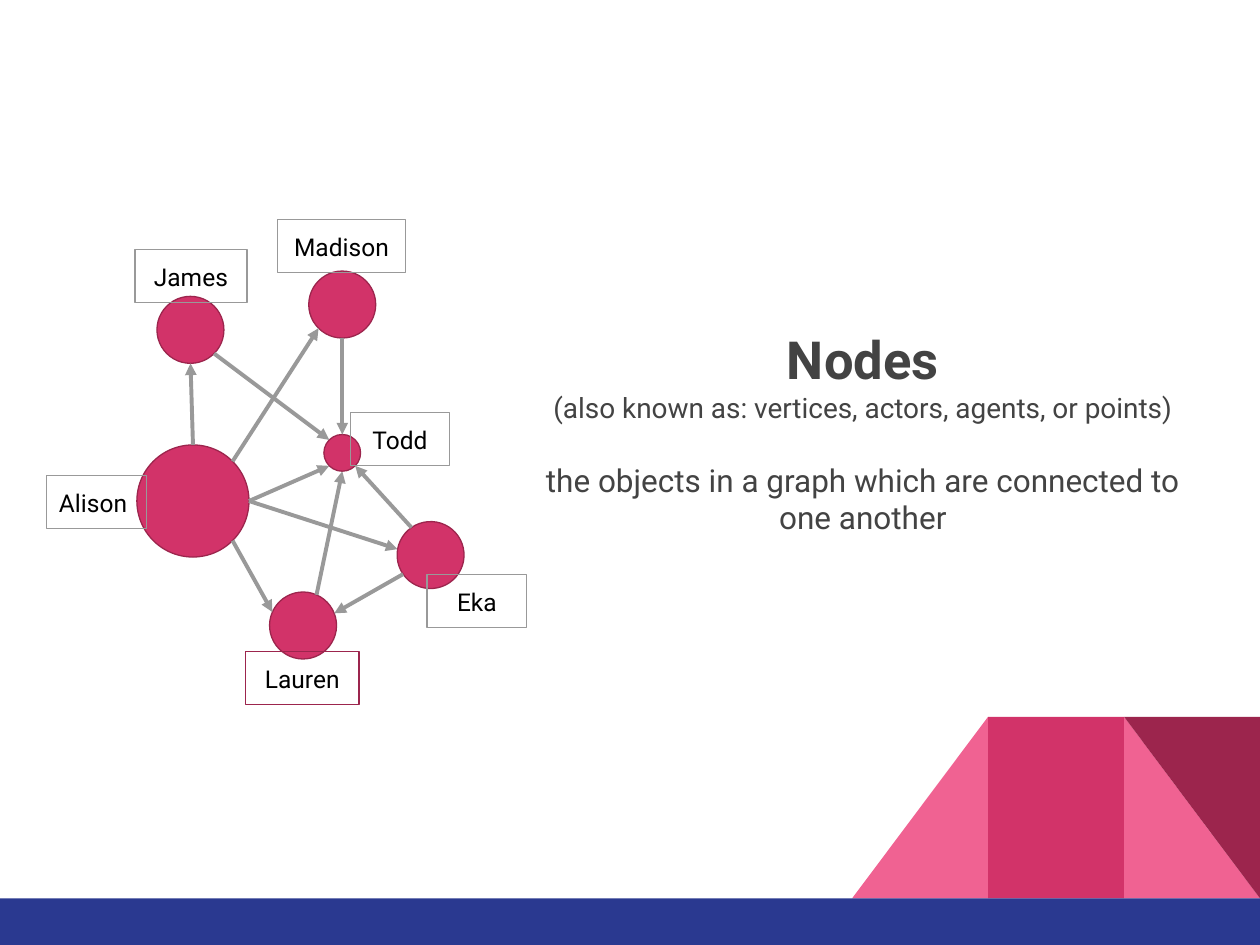
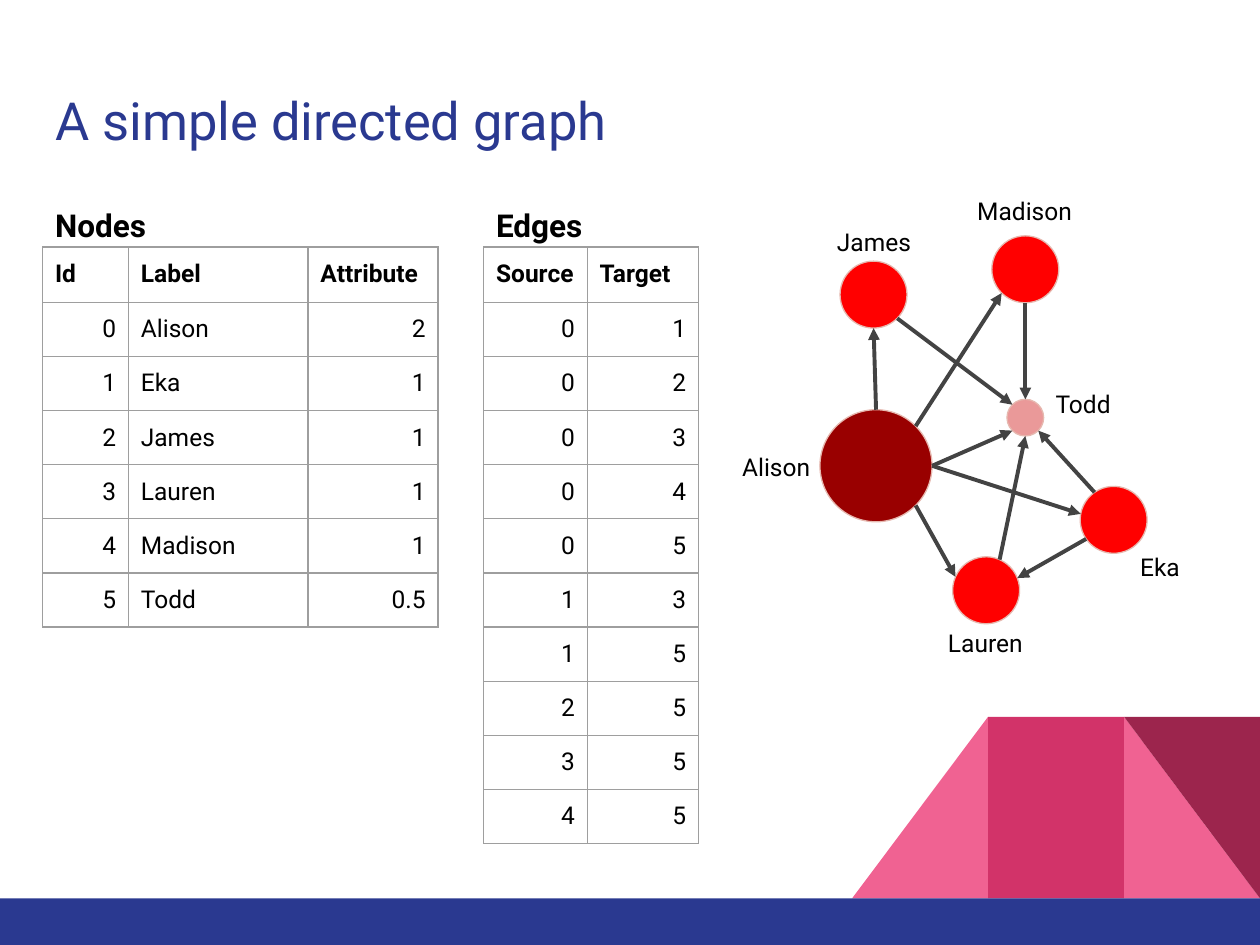
from dataclasses import dataclass
from math import cos, radians, sin

from lxml import etree
from pptx import Presentation
from pptx.dml.color import RGBColor
from pptx.enum.shapes import MSO_CONNECTOR, MSO_SHAPE
from pptx.enum.text import MSO_ANCHOR, PP_ALIGN
from pptx.oxml import parse_xml
from pptx.oxml.ns import nsdecls, qn
from pptx.util import Cm, Pt

RECTANGLE = MSO_SHAPE.RECTANGLE
RIGHT_TRIANGLE = MSO_SHAPE.RIGHT_TRIANGLE
ELLIPSE = MSO_SHAPE.OVAL
STRAIGHT = MSO_CONNECTOR.STRAIGHT
TOP = MSO_ANCHOR.TOP
LEFT, CENTER, RIGHT = PP_ALIGN.LEFT, PP_ALIGN.CENTER, PP_ALIGN.RIGHT


@dataclass(frozen=True)
class Theme:
    font: str = "Roboto"
    blue: str = "2A3990"
    light_pink: str = "F06292"
    pink: str = "D23369"
    wine: str = "9C254D"
    black: str = "000000"
    dark_gray: str = "434343"
    gray: str = "999999"
    grid: str = "9E9E9E"
    red: str = "FF0000"
    deep_red: str = "990000"
    pale_red: str = "EA9999"
    blush: str = "E6B8AF"
    title_size: int = 30
    heading_size: int = 18
    alias_size: int = 16
    label_size: int = 14
    thin: float = 0.75
    arrow: float = 2.25


THEME = Theme()

# Lengths in centimetres
SLIDE_W, SLIDE_H = 25.4, 19.05
INSET = 0.25
BAND_H = 0.94
PANEL_W, PANEL_H = 2.74, 3.66
LABEL_H = 1.07
HEADER_ROW_H, ROW_H = 1.12, 1.09


@dataclass(frozen=True)
class Person:
    name: str
    attribute: str
    center: tuple
    diameter: float
    label: tuple  # left, top, width
    turn: float = 0
    label_align: int = CENTER


# The index of a person is the Id in the node table
PEOPLE = [
    Person("Alison", "2", (3.89, 10.1), 2.26, (0.94, 9.58, 2.01), label_align=LEFT),
    Person("Eka", "1", (8.68, 11.19), 1.35, (8.61, 11.58, 2.01), turn=10.3),
    Person("James", "1", (3.84, 6.65), 1.35, (2.72, 5.03, 2.26)),
    Person("Lauren", "1", (6.11, 12.61), 1.35, (4.95, 13.13, 2.29), turn=23.7),
    Person("Madison", "1", (6.9, 6.14), 1.35, (5.59, 4.42, 2.59)),
    Person("Todd", "0.5", (6.9, 9.13), 0.74, (7.06, 8.31, 2.01)),
]

# Clockwise angle of each point on a circle where an edge can meet it
SITES = {"E": 0, "SE": 45, "S": 90, "SW": 135, "W": 180, "NW": 225, "N": 270, "NE": 315}

# Source, target, site on the source, site on the target
EDGES = [
    (0, 1, "E", "W"),
    (0, 2, "N", "S"),
    (0, 3, "SE", "W"),
    (0, 4, "NE", "SW"),
    (0, 5, "E", "SW"),
    (1, 3, "SW", "NE"),
    (1, 5, "NW", "SE"),
    (2, 5, "SE", "NW"),
    (3, 5, "N", "S"),
    (4, 5, "S", "N"),
]


def rgb(color):
    return RGBColor.from_string(color)


def box(left, top, width, height):
    return Cm(left), Cm(top), Cm(width), Cm(height)


def write(frame, paragraphs):
    """Fill a text frame with (text, size, color, bold, align) paragraphs."""
    frame.word_wrap = True
    frame.vertical_anchor = TOP
    frame.margin_left = frame.margin_right = Cm(INSET)
    frame.margin_top = frame.margin_bottom = Cm(INSET)
    for index, (text, size, color, bold, align) in enumerate(paragraphs):
        paragraph = frame.add_paragraph() if index else frame.paragraphs[0]
        paragraph.alignment = align
        run = paragraph.add_run()
        run.text = text
        run.font.name = THEME.font
        run.font.size = Pt(size)
        run.font.bold = bold
        run.font.color.rgb = rgb(color)


def add_text(slide, bounds, *paragraphs):
    text_box = slide.shapes.add_textbox(*box(*bounds))
    write(text_box.text_frame, paragraphs)
    return text_box


def add_shape(slide, kind, bounds, fill=None, line=None):
    shape = slide.shapes.add_shape(kind, *box(*bounds))
    shape.shadow.inherit = False
    if fill:
        shape.fill.solid()
        shape.fill.fore_color.rgb = rgb(fill)
    else:
        shape.fill.background()
    if line:
        shape.line.color.rgb = rgb(line)
        shape.line.width = Pt(THEME.thin)
    else:
        shape.line.fill.background()
    return shape


def add_arrow(slide, start, end, color):
    arrow = slide.shapes.add_connector(STRAIGHT, *(Cm(v) for v in (*start, *end)))
    arrow.line.color.rgb = rgb(color)
    arrow.line.width = Pt(THEME.arrow)
    etree.SubElement(arrow.line._get_or_add_ln(), qn("a:tailEnd"), type="triangle")
    etree.SubElement(arrow._element.spPr, qn("a:effectLst"))


def add_decoration(slide):
    """Bottom band with the folded panels standing on it at the right."""
    band_top = SLIDE_H - BAND_H

    def panel(kind, place_from_right, fill):
        left = SLIDE_W - place_from_right * PANEL_W
        bounds = (left, band_top - PANEL_H, PANEL_W, PANEL_H)
        return add_shape(slide, kind, bounds, fill)

    panel(RIGHT_TRIANGLE, 1, THEME.light_pink)
    rising = panel(RIGHT_TRIANGLE, 3, THEME.light_pink)
    rising._element.spPr.xfrm.set("flipH", "1")
    panel(RECTANGLE, 2, THEME.pink)
    panel(RIGHT_TRIANGLE, 1, THEME.wine).rotation = 180
    add_shape(slide, RECTANGLE, (0, band_top, SLIDE_W, BAND_H), THEME.blue)


def site_point(person, site, offset):
    angle = radians(SITES[site] + person.turn)
    radius = person.diameter / 2
    x, y = person.center
    return (x + offset[0] + radius * cos(angle), y + offset[1] + radius * sin(angle))


def add_graph(slide, offset, fills, outline, arrow_color, label_lines=None):
    """Draw people and edges; label_lines maps a name to its label's outline."""
    dx, dy = offset
    for person in PEOPLE:
        x, y = person.center
        size = person.diameter
        bounds = (x + dx - size / 2, y + dy - size / 2, size, size)
        circle = add_shape(slide, ELLIPSE, bounds, fills[person.name], outline)
        circle.rotation = person.turn

        left, top, width = person.label
        bounds = (left + dx, top + dy, width, LABEL_H)
        text = (person.name, THEME.label_size, THEME.black, False, person.label_align)
        if label_lines:
            label = add_shape(slide, RECTANGLE, bounds, line=label_lines[person.name])
            write(label.text_frame, [text])
        else:
            add_text(slide, bounds, text)

    for source, target, start_site, end_site in EDGES:
        start = site_point(PEOPLE[source], start_site, offset)
        end = site_point(PEOPLE[target], end_site, offset)
        add_arrow(slide, start, end, arrow_color)


def style_cell(cell, text, bold, align):
    write(cell.text_frame, [(text, THEME.label_size, THEME.black, bold, align)])
    cell.vertical_anchor = TOP
    cell.margin_left = cell.margin_right = Cm(INSET)
    cell.margin_top = cell.margin_bottom = Cm(INSET)
    properties = cell._tc.get_or_add_tcPr()
    for side in ("lnL", "lnR", "lnT", "lnB"):
        properties.append(parse_xml(
            f'<a:{side} {nsdecls("a")} w="{Pt(THEME.thin)}"><a:solidFill>'
            f'<a:srgbClr val="{THEME.grid}"/></a:solidFill></a:{side}>'))
    cell.fill.background()


def add_data_table(slide, left, top, widths, header, records):
    height = HEADER_ROW_H + ROW_H * len(records)
    table = slide.shapes.add_table(
        len(records) + 1, len(header), *box(left, top, sum(widths), height)).table
    table.first_row = table.horz_banding = False
    for column, width in zip(table.columns, widths):
        column.width = Cm(width)
    for row_index, values in enumerate([header, *records]):
        is_header = row_index == 0
        table.rows[row_index].height = Cm(HEADER_ROW_H if is_header else ROW_H)
        for column_index, value in enumerate(values):
            is_text = is_header or header[column_index] == "Label"
            style_cell(table.cell(row_index, column_index), str(value),
                       is_header, LEFT if is_text else RIGHT)


def build_nodes_slide(slide):
    add_decoration(slide)

    # Definition
    gray = THEME.dark_gray
    definition = add_text(
        slide, (10.26, 6.35, 14.27, 4.22),
        ("Nodes", THEME.title_size, gray, True, CENTER),
        ("(also known as: vertices, actors, agents, or points)",
         THEME.alias_size, gray, False, CENTER),
        ("the objects in a graph which are connected to one another",
         THEME.heading_size, gray, False, CENTER))
    definition.text_frame.paragraphs[-1].space_before = Pt(21)

    # Graph with framed names
    fills = {person.name: THEME.pink for person in PEOPLE}
    frames = {person.name: THEME.gray for person in PEOPLE}
    frames["Lauren"] = THEME.wine
    add_graph(slide, (0, 0), fills, THEME.wine, THEME.gray, frames)


def build_directed_graph_slide(slide):
    add_decoration(slide)
    nodes_left, edges_left = 0.86, 9.75
    heading_top, table_top = 3.91, 4.98

    # Node and edge tables
    nodes = [(i, person.name, person.attribute) for i, person in enumerate(PEOPLE)]
    add_data_table(slide, nodes_left, table_top, (1.73, 3.62, 2.62),
                   ("Id", "Label", "Attribute"), nodes)
    add_data_table(slide, edges_left, table_top, (2.09, 2.24),
                   ("Source", "Target"), [edge[:2] for edge in EDGES])

    # Graph coloured by attribute
    shades = {"2": THEME.deep_red, "1": THEME.red, "0.5": THEME.pale_red}
    fills = {person.name: shades[person.attribute] for person in PEOPLE}
    add_graph(slide, (13.77, -0.71), fills, THEME.blush, THEME.dark_gray)

    # Headings and title
    for heading, left, width in (("Nodes", nodes_left, 7.75), ("Edges", edges_left, 4.34)):
        add_text(slide, (left, heading_top, width, 0.91),
                 (heading, THEME.heading_size, THEME.black, True, LEFT))
    add_text(slide, (nodes_left, 1.52, 23.67, 2.26),
             ("A simple directed graph", THEME.title_size, THEME.blue, False, LEFT))


def main():
    deck = Presentation()
    deck.slide_width, deck.slide_height = Cm(SLIDE_W), Cm(SLIDE_H)
    blank = deck.slide_layouts[6]
    for build in (build_nodes_slide, build_directed_graph_slide):
        build(deck.slides.add_slide(blank))
    deck.save("out.pptx")


if __name__ == "__main__":
    main()
